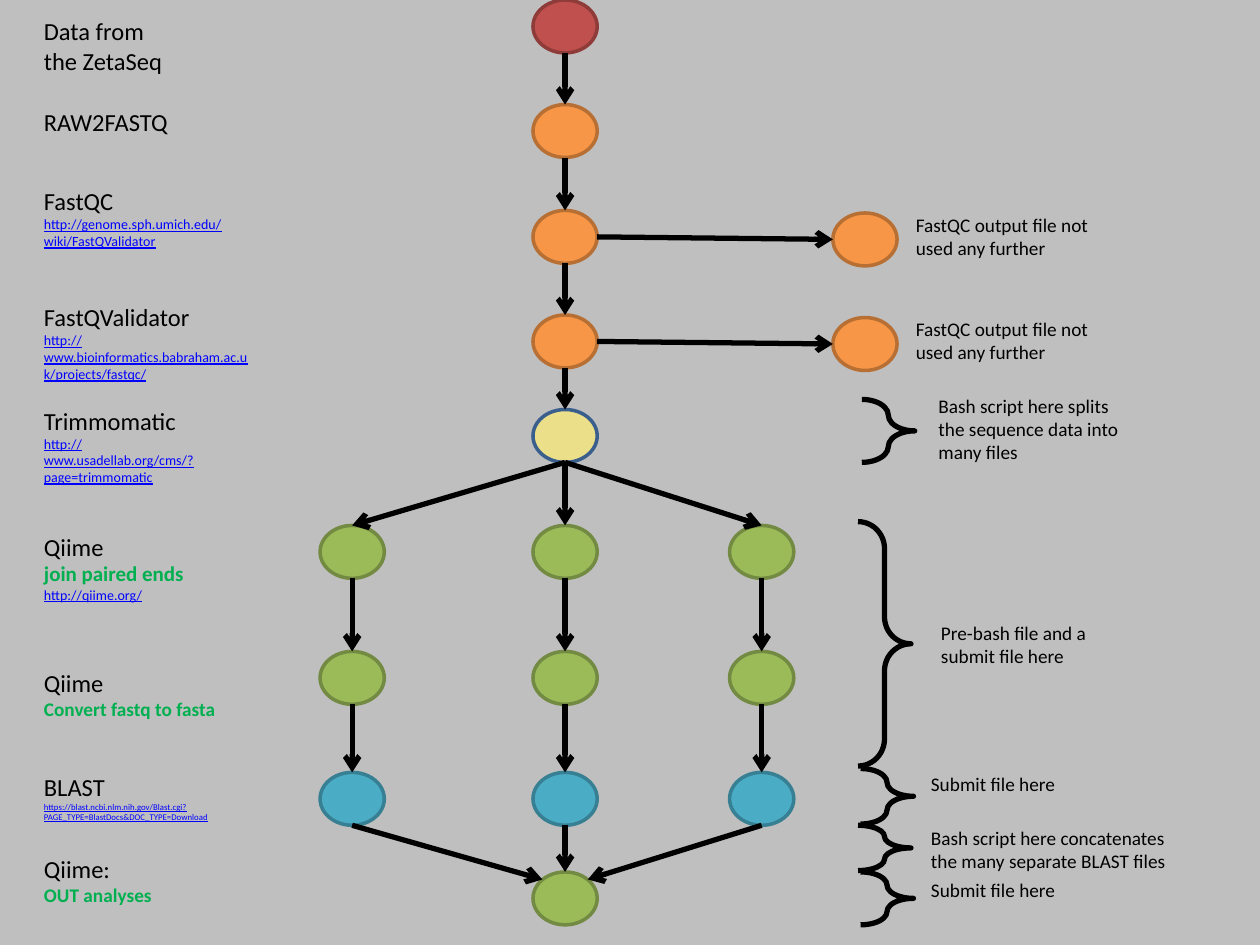
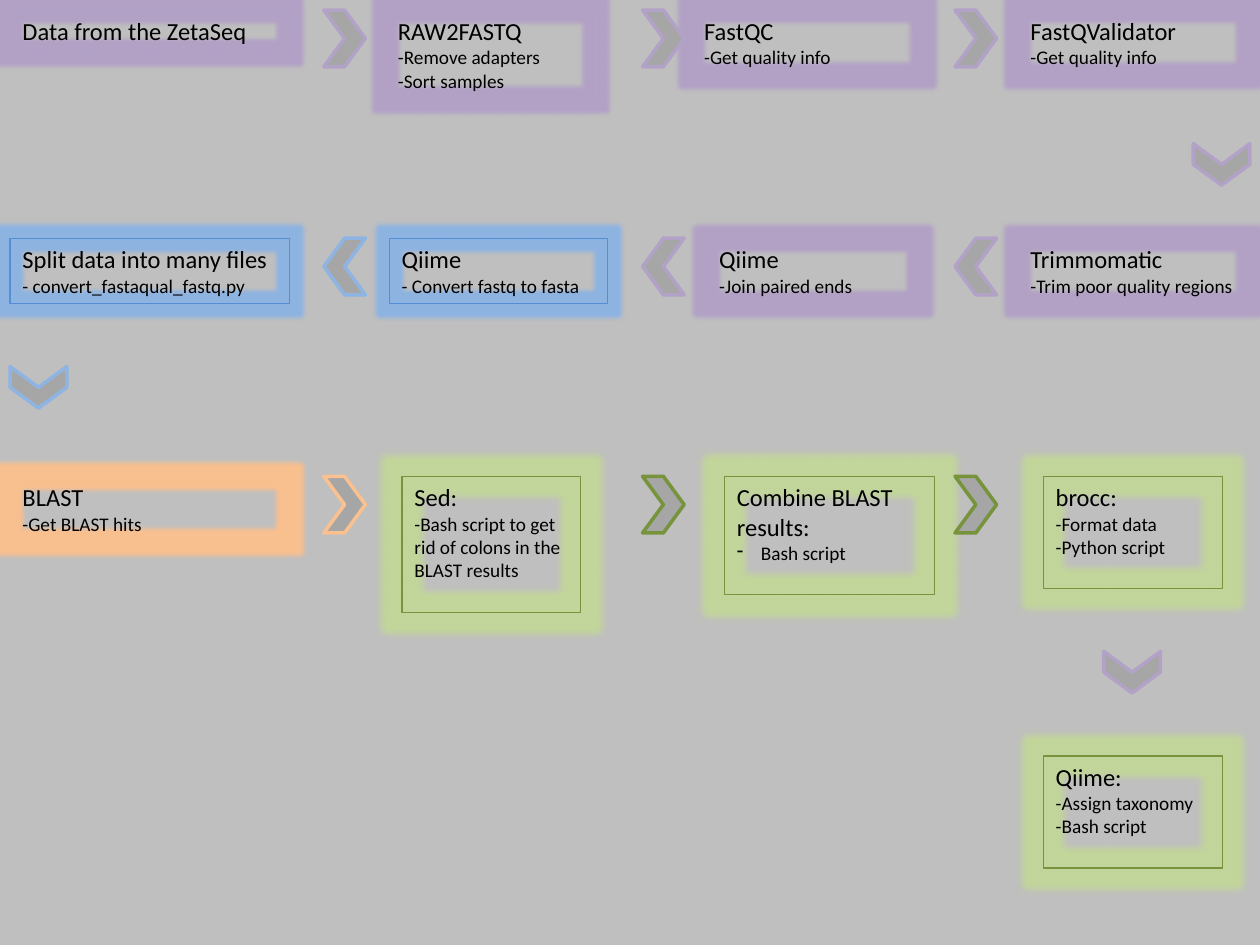
from pptx import Presentation
from pptx.dml.color import RGBColor
from pptx.enum.shapes import MSO_CONNECTOR, MSO_SHAPE
from pptx.oxml import parse_xml
from pptx.oxml.ns import nsdecls, qn
from pptx.util import Inches, Pt

OVAL, CHEVRON, BRACE = MSO_SHAPE.OVAL, MSO_SHAPE.CHEVRON, MSO_SHAPE.RIGHT_BRACE
STRAIGHT = MSO_CONNECTOR.STRAIGHT

# Colours
BACK = RGBColor(0xBF, 0xBF, 0xBF)
BLACK = RGBColor(0, 0, 0)
STEP_GREEN = RGBColor(0x00, 0xB0, 0x50)
LINK_BLUE = RGBColor(0x00, 0x00, 0xFF)
GREY = RGBColor(0xA6, 0xA6, 0xA6)
PURPLE = RGBColor(0xB3, 0xA2, 0xC7)
BLUE = RGBColor(0x55, 0x8E, 0xD5)
PALE_BLUE = RGBColor(0x8E, 0xB4, 0xE3)
PEACH = RGBColor(0xFA, 0xC0, 0x90)
GREEN = RGBColor(0x77, 0x93, 0x3C)
PALE_GREEN = RGBColor(0xC3, 0xD6, 0x9B)

# Node fill and outline
RED_NODE = RGBColor(0xC0, 0x50, 0x4D), RGBColor(0x8E, 0x3B, 0x39)
ORANGE_NODE = RGBColor(0xF7, 0x96, 0x46), RGBColor(0xB7, 0x6F, 0x34)
YELLOW_NODE = RGBColor(0xEB, 0xDF, 0x89), RGBColor(0x3A, 0x5F, 0x8C)
GREEN_NODE = RGBColor(0x9B, 0xBB, 0x59), RGBColor(0x73, 0x8A, 0x42)
TEAL_NODE = RGBColor(0x4B, 0xAC, 0xC6), RGBColor(0x37, 0x7F, 0x92)

# Text formats
FORMATS = {
    "head": {"size": Pt(14)},
    "note": {"size": Pt(11)},
    "bullet": {"size": Pt(11)},
    "step": {"size": Pt(11), "bold": True},
    "big step": {"size": Pt(12), "bold": True},
    "link": {"size": Pt(8), "underline": True},
    "small link": {"size": Pt(5), "underline": True},
}
TEXT_COLOURS = {"step": STEP_GREEN, "big step": STEP_GREEN,
                "link": LINK_BLUE, "small link": LINK_BLUE}

# Slide 1: labels as (top, width, height, paragraphs)
LABEL_X = 0.25
LABELS = [
    (0.08, 1.23, 0.57, [("head", "Data from the ZetaSeq")]),
    (0.8, 1.23, 0.34, [("head", "RAW2FASTQ")]),
    (1.43, 1.83, 0.61, [("head", "FastQC"),
                        ("link", "http://genome.sph.umich.edu/wiki/FastQValidator")]),
    (2.35, 1.83, 0.61, [("head", "FastQValidator"),
                        ("link", "http://www.bioinformatics.babraham.ac.uk/projects/fastqc/")]),
    (3.17, 1.46, 0.61, [("head", "Trimmomatic"),
                        ("link", "http://www.usadellab.org/cms/?page=trimmomatic")]),
    (4.17, 1.42, 0.67, [("head", "Qiime"), ("big step", "join paired ends"),
                        ("link", "http://qiime.org/")]),
    (5.25, 1.83, 0.52, [("head", "Qiime"), ("step", "Convert fastq to fasta")]),
    (6.08, 1.52, 0.5, [("head", "BLAST"),
                       ("small link", "https://blast.ncbi.nlm.nih.gov/Blast.cgi?"
                                      "PAGE_TYPE=BlastDocs&DOC_TYPE=Download")]),
    (6.73, 1.99, 0.52, [("head", "Qiime:"), ("step", "OUT analyses")]),
]
UNUSED = "FastQC output file not used any further"
NOTES = [  # left, top, width, height, text
    (7.17, 1.64, 1.83, 0.47, UNUSED),
    (7.17, 2.47, 1.83, 0.47, UNUSED),
    (7.35, 3.08, 1.74, 0.66, "Bash script here splits the sequence data into many files"),
    (7.37, 4.88, 1.63, 0.47, "Pre-bash file and a submit file here"),
    (7.29, 6.08, 2.04, 0.29, "Submit file here"),
    (7.29, 6.51, 2.29, 0.47, "Bash script here concatenates the many separate BLAST files"),
    (7.29, 6.92, 1.89, 0.29, "Submit file here"),
]
BRACES = [  # left, top, height
    (6.84, 3.17, 0.5), (6.81, 4.14, 1.94), (6.83, 6.1, 0.44),
    (6.81, 6.55, 0.36), (6.83, 6.92, 0.42),
]
BRACE_W = 0.42
NODE_W, NODE_H = 0.51, 0.42
LEFT, MIDDLE, RIGHT, SIDE = 2.54, 4.23, 5.79, 6.61
SIDE_DROP = 0.02
LANES = [LEFT, MIDDLE, RIGHT]
SINGLE_ROWS = [(0, RED_NODE), (0.83, ORANGE_NODE), (1.67, ORANGE_NODE),
               (2.5, ORANGE_NODE), (3.25, YELLOW_NODE)]
LANE_ROWS = [(4.17, GREEN_NODE), (5.17, GREEN_NODE), (6.13, TEAL_NODE)]
LAST_ROW = (6.92, GREEN_NODE)
SIDE_ROWS = [1.67, 2.5]

# Slide 2: boxes as (left, top, width, height, line, glow, glow points, paragraphs)
PURPLE_BOX = PURPLE, PURPLE, 5
BLUE_BOX = BLUE, PALE_BLUE, 5
PEACH_BOX = PEACH, PEACH, 5
GREEN_BOX = GREEN, PALE_GREEN, 8
ROWS = [0.08, 1.89, 3.78]
BOXES = [
    (0.08, ROWS[0], 2.22, 0.34, PURPLE_BOX, [("head", "Data from the ZetaSeq")]),
    (3.06, ROWS[0], 1.67, 0.71, PURPLE_BOX,
     [("head", "RAW2FASTQ"), ("note", "-Remove adapters"), ("note", "-Sort samples")]),
    (5.49, ROWS[0], 1.83, 0.52, PURPLE_BOX, [("head", "FastQC"), ("note", "-Get quality info")]),
    (8.08, ROWS[0], 1.83, 0.52, PURPLE_BOX,
     [("head", "FastQValidator"), ("note", "-Get quality info")]),
    (8.08, ROWS[1], 1.83, 0.52, PURPLE_BOX,
     [("head", "Trimmomatic"), ("note", "-Trim poor quality regions")]),
    (5.61, ROWS[1], 1.69, 0.52, PURPLE_BOX, [("head", "Qiime"), ("note", "-Join paired ends")]),
    (3.09, ROWS[1], 1.73, 0.52, BLUE_BOX,
     [("head", "Qiime"), ("note", "- Convert fastq to fasta")]),
    (0.08, ROWS[1], 2.22, 0.52, BLUE_BOX,
     [("head", "Split data into many files"), ("note", "- convert_fastaqual_fastq.py")]),
    (0.08, ROWS[2], 2.22, 0.52, PEACH_BOX, [("head", "BLAST"), ("note", "-Get BLAST hits")]),
    (3.19, ROWS[2], 1.42, 1.08, GREEN_BOX,
     [("head", "Sed:"), ("note", "-Bash script to get rid of colons in the BLAST results")]),
    (5.75, ROWS[2], 1.67, 0.94, GREEN_BOX,
     [("head", "Combine BLAST results:"), ("bullet", "Bash script")]),
    (8.28, ROWS[2], 1.42, 0.89, GREEN_BOX,
     [("head", "brocc:"), ("note", "-Format data"), ("note", "-Python script")]),
    (8.28, 6, 1.42, 0.89, GREEN_BOX,
     [("head", "Qiime:"), ("note", "-Assign taxonomy"), ("note", "-Bash script")]),
]
CHEVRON_W, CHEVRON_H = 0.33, 0.45
CHEVRON_X = [2.57, 5.1, 7.58]
CHEVRON_ROWS = [  # rotation, outline of each chevron
    (0, [PURPLE, PURPLE, PURPLE]),
    (180, [PALE_BLUE, PURPLE, PURPLE]),
    (0, [PEACH, GREEN, GREEN]),
]
DOWN_CHEVRONS = [(9.53, 1.08, PURPLE), (0.14, 2.85, PALE_BLUE), (8.82, 5.11, PURPLE)]


def add_slide(prs):
    s = prs.slides.add_slide(prs.slide_layouts[6])
    s.background.fill.solid()
    s.background.fill.fore_color.rgb = BACK
    return s


def add_text(s, x, y, w, h, paragraphs):
    sp = s.shapes.add_textbox(Inches(x), Inches(y), Inches(w), Inches(h))
    tf = sp.text_frame
    tf.word_wrap = True
    for i, (kind, text) in enumerate(paragraphs):
        p = tf.add_paragraph() if i else tf.paragraphs[0]
        r = p.add_run()
        r.text = text
        r.font.name = "Calibri"
        r.font.color.rgb = TEXT_COLOURS.get(kind, BLACK)
        for name, value in FORMATS[kind].items():
            setattr(r.font, name, value)
        if kind == "bullet":
            pPr = p._p.get_or_add_pPr()
            pPr.set("marL", str(Inches(0.19)))
            pPr.set("indent", str(Inches(-0.19)))
            pPr.append(parse_xml(f'<a:buChar {nsdecls("a")} char="-"/>'))
    return sp


def add_preset(s, kind, x, y, w, h, fill, line, width):
    sp = s.shapes.add_shape(kind, Inches(x), Inches(y), Inches(w), Inches(h))
    sp.shadow.inherit = False
    if fill is None:
        sp.fill.background()
    else:
        sp.fill.solid()
        sp.fill.fore_color.rgb = fill
    sp.line.color.rgb = line
    sp.line.width = Pt(width)
    return sp


def add_node(s, x, y, colours):
    add_preset(s, OVAL, x, y, NODE_W, NODE_H, *colours, 2)


def add_arrow(s, x1, y1, x2, y2):
    c = s.shapes.add_connector(STRAIGHT, Inches(x1), Inches(y1), Inches(x2), Inches(y2))
    c.line.color.rgb = BLACK
    c.line.width = Pt(3)
    spPr = c._element.spPr
    spPr.find(qn("a:ln")).append(parse_xml(f'<a:tailEnd {nsdecls("a")} type="arrow"/>'))
    spPr.append(parse_xml(f'<a:effectLst {nsdecls("a")}/>'))


def add_down_arrow(s, x1, y1, x2, y2):
    """Arrow from the bottom of one node to the top of another."""
    add_arrow(s, x1 + NODE_W / 2, y1 + NODE_H, x2 + NODE_W / 2, y2)


def add_glow_box(s, x, y, w, h, look, paragraphs):
    line, glow, points = look
    sp = add_text(s, x, y, w, h, paragraphs)
    sp.line.color.rgb = line
    sp.line.width = Pt(0.75)
    sp._element.spPr.append(parse_xml(
        f'<a:effectLst {nsdecls("a")}><a:glow rad="{Pt(points)}">'
        f'<a:srgbClr val="{glow}"/></a:glow></a:effectLst>'))


def add_chevron(s, x, y, colour, rotation):
    sp = add_preset(s, CHEVRON, x, y, CHEVRON_W, CHEVRON_H, GREY, colour, 2)
    sp.rotation = rotation


def build_pipeline(s):
    # Nodes
    for y, colours in SINGLE_ROWS + [LAST_ROW]:
        add_node(s, MIDDLE, y, colours)
    for y, colours in LANE_ROWS:
        for x in LANES:
            add_node(s, x, y, colours)

    # Arrows down the single chain, then along each lane
    chain = [y for y, _ in SINGLE_ROWS]
    lane = [y for y, _ in LANE_ROWS]
    for y1, y2 in zip(chain, chain[1:]):
        add_down_arrow(s, MIDDLE, y1, MIDDLE, y2)
    for x in LANES:
        add_down_arrow(s, MIDDLE, chain[-1], x, lane[0])
        for y1, y2 in zip(lane, lane[1:]):
            add_down_arrow(s, x, y1, x, y2)

    # Lanes merge on the rim of the last node
    last_y = LAST_ROW[0]
    for x, shift, drop in zip(LANES, (-0.18, 0, 0.18), (0.06, 0, 0.06)):
        add_down_arrow(s, x, lane[-1], MIDDLE + shift, last_y + drop)

    # Side outputs
    for y in SIDE_ROWS:
        add_node(s, SIDE, y + SIDE_DROP, ORANGE_NODE)
        mid = y + NODE_H / 2
        add_arrow(s, MIDDLE + NODE_W, mid, SIDE, mid + SIDE_DROP)

    # Braces, notes and labels
    for x, y, h in BRACES:
        sp = add_preset(s, BRACE, x, y, BRACE_W, h, None, BLACK, 3)
        sp.adjustments[0] = 0.51
    for x, y, w, h, text in NOTES:
        add_text(s, x, y, w, h, [("note", text)])
    for y, w, h, paragraphs in LABELS:
        add_text(s, LABEL_X, y, w, h, paragraphs)


def build_steps(s):
    for box in BOXES:
        add_glow_box(s, *box)
    for y, (rotation, colours) in zip(ROWS, CHEVRON_ROWS):
        for x, colour in zip(CHEVRON_X, colours):
            add_chevron(s, x, y, colour, rotation)
    for x, y, colour in DOWN_CHEVRONS:
        add_chevron(s, x, y, colour, 90)


def main():
    prs = Presentation()
    prs.slide_width, prs.slide_height = Inches(10), Inches(7.5)
    build_pipeline(add_slide(prs))
    build_steps(add_slide(prs))
    prs.save("out.pptx")


if __name__ == "__main__":
    main()
